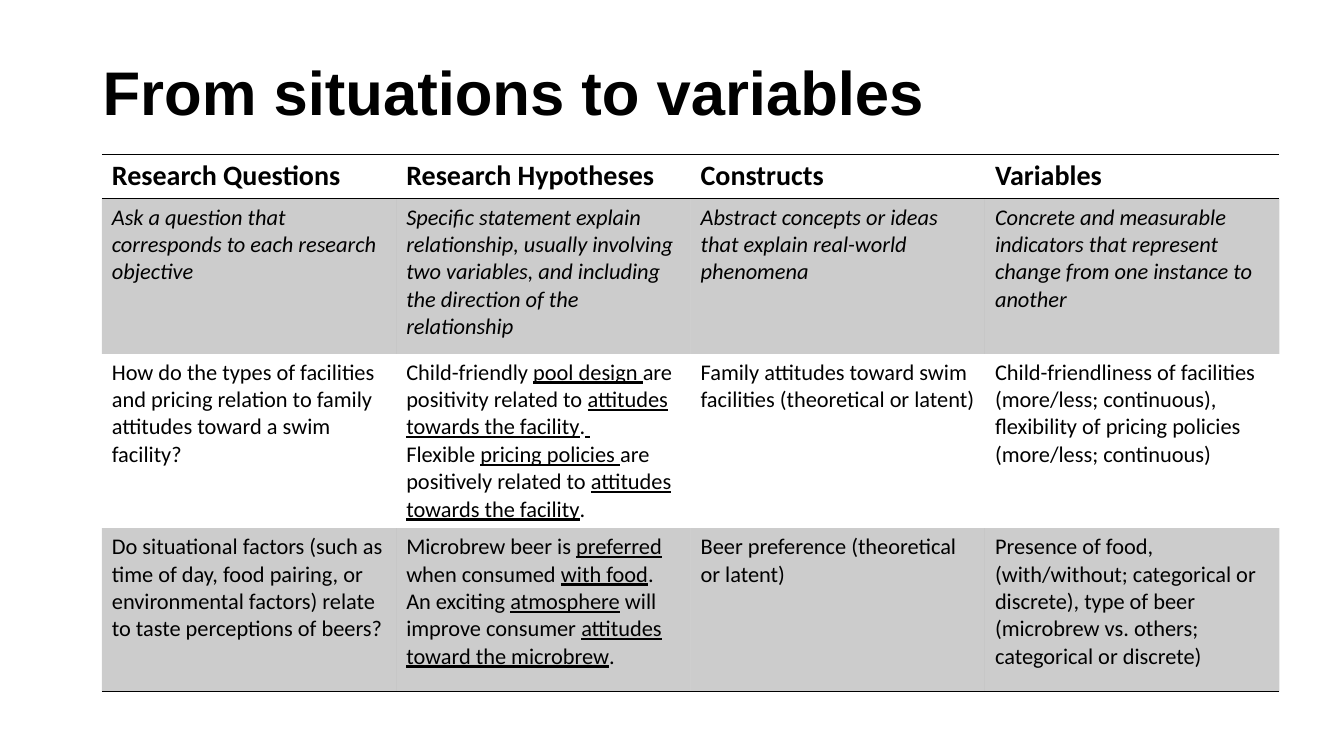
from dataclasses import dataclass

import lxml.etree
import pptx
import pptx.dml.color
import pptx.enum.text
import pptx.oxml.ns
import pptx.util

Inches = pptx.util.Inches
COLORS = {"ink": "000000"}
PLAIN_TABLE = "{2D5ABB26-0587-4C30-8999-92F81FD0307C}"
COLUMN_WIDTH = 2.92


@dataclass
class Row:
    height: float
    texts: list[str]
    font: dict
    shaded: bool = False
    borders: tuple[str, ...] = ()


BODY = {"name": "Calibri", "size": pptx.util.Pt(16)}
HEADING = {"name": "Calibri", "size": pptx.util.Pt(20), "bold": True}
TITLE = {"name": "Arial", "size": pptx.util.Pt(44), "bold": True}

ROWS = [
    Row(0.44, ["Research Questions", "Research Hypotheses", "Constructs", "Variables"],
        HEADING, borders=("lnT", "lnB")),
    Row(1.54, [
        "Ask a question that corresponds to each research objective",
        "Specific statement explain relationship, usually involving two variables, "
        "and including the direction of the relationship",
        "Abstract concepts or ideas that explain real-world phenomena",
        "Concrete and measurable indicators that represent change from one instance to another",
    ], BODY | {"italic": True}, shaded=True),
    Row(1.73, [
        "How do the types of facilities and pricing relation to family attitudes "
        "toward a swim facility?",
        "Child-friendly _pool design _are positivity related to "
        "_attitudes towards the facility_._ _\n"
        "Flexible _pricing policies _are positively related to "
        "_attitudes towards the facility_.",
        "Family attitudes toward swim facilities (theoretical or latent)",
        "Child-friendliness of facilities (more/less; continuous), "
        "flexibility of pricing policies (more/less; continuous)",
    ], BODY),
    Row(1.62, [
        "Do situational factors (such as time of day, food pairing, or environmental "
        "factors) relate to taste perceptions of beers?",
        "Microbrew beer is _preferred_ when consumed _with food_.\n"
        "An exciting _atmosphere_ will improve consumer _attitudes toward the microbrew_.",
        "Beer preference (theoretical or latent)",
        "Presence of food, (with/without; categorical or discrete), type of beer "
        "(microbrew vs. others; categorical or discrete)",
    ], BODY, shaded=True, borders=("lnB",)),
]


def rgb(name: str) -> pptx.dml.color.RGBColor:
    return pptx.dml.color.RGBColor.from_string(COLORS[name])


def write(tf, text: str, font: dict) -> None:
    for i, line in enumerate(text.split("\n")):
        p = tf.add_paragraph() if i else tf.paragraphs[0]
        for j, part in enumerate(line.split("_")):
            if not part:
                continue
            r = p.add_run()
            r.text = part
            for key, value in font.items():
                setattr(r.font, key, value)
            r.font.color.rgb = rgb("ink")
            if j % 2:
                r.font.underline = True


def add_border(tc_pr, side: str, position: int) -> None:
    qn = pptx.oxml.ns.qn
    ln = lxml.etree.Element(qn(f"a:{side}"), w=str(pptx.util.Pt(1)))
    fill = lxml.etree.SubElement(ln, qn("a:solidFill"))
    lxml.etree.SubElement(fill, qn("a:srgbClr"), val=COLORS["ink"])
    tc_pr.insert(position, ln)


def format_cell(cell, row: Row) -> None:
    tc_pr = cell._tc.get_or_add_tcPr()
    if row.shaded:
        cell.fill.solid()
        cell.fill.fore_color.rgb = rgb("ink")
        clr = tc_pr.find(".//" + pptx.oxml.ns.qn("a:srgbClr"))
        lxml.etree.SubElement(clr, pptx.oxml.ns.qn("a:alpha"), val="20000")
    else:
        cell.fill.background()
    for i, side in enumerate(row.borders):
        add_border(tc_pr, side, i)


def add_variables_table(s) -> None:
    columns = len(ROWS[0].texts)
    frame = s.shapes.add_table(
        len(ROWS), columns, Inches(1.01), Inches(1.53),
        Inches(COLUMN_WIDTH * columns), Inches(sum(row.height for row in ROWS)))
    table = frame.table
    table.first_row = False
    table.horz_banding = False
    table._tbl.tblPr.find(pptx.oxml.ns.qn("a:tableStyleId")).text = PLAIN_TABLE
    for column in table.columns:
        column.width = Inches(COLUMN_WIDTH)
    for i, row in enumerate(ROWS):
        table.rows[i].height = Inches(row.height)
        for j, text in enumerate(row.texts):
            cell = table.cell(i, j)
            write(cell.text_frame, text, row.font)
            format_cell(cell, row)


def add_title(s) -> None:
    sp = s.shapes.add_textbox(Inches(0.92), Inches(0.22), Inches(11.5), Inches(1.45))
    tf = sp.text_frame
    tf.word_wrap = True
    tf.vertical_anchor = pptx.enum.text.MSO_ANCHOR.MIDDLE
    write(tf, "From situations to variables", TITLE)
    tf.paragraphs[0].line_spacing = 0.9


def main() -> None:
    prs = pptx.Presentation()
    prs.slide_width = Inches(13.33)
    prs.slide_height = Inches(7.5)
    s = prs.slides.add_slide(prs.slide_layouts[6])
    add_variables_table(s)
    add_title(s)
    prs.save("out.pptx")


if __name__ == "__main__":
    main()
